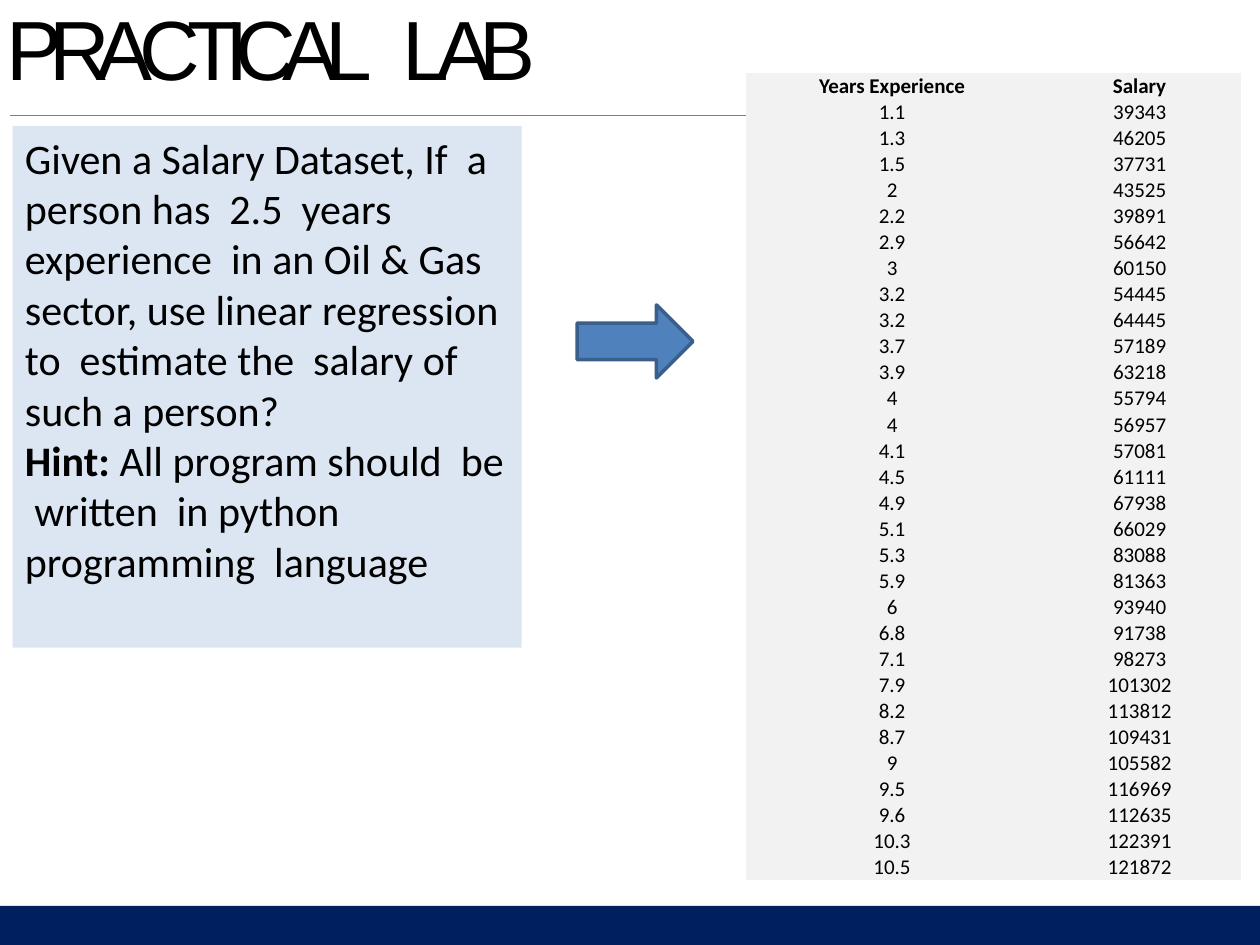
from typing import NamedTuple

from lxml.etree import SubElement
from pptx import Presentation
from pptx.dml.color import RGBColor
from pptx.enum.shapes import MSO_CONNECTOR, MSO_SHAPE
from pptx.enum.text import MSO_ANCHOR, MSO_AUTO_SIZE, PP_ALIGN
from pptx.oxml.ns import qn
from pptx.util import Inches, Pt


class Block(NamedTuple):
    kind: MSO_SHAPE
    left: float
    top: float
    width: float
    height: float
    fill: str
    outline: str = ""


class Record(NamedTuple):
    years: str
    salary: str


FOOTER_BAR = Block(MSO_SHAPE.RECTANGLE, 0, 7.19, 10, 0.31, "001F5F")
TASK_PANEL = Block(MSO_SHAPE.RECTANGLE, 0.1, 1, 4.04, 4.14, "DCE6F2")
DATA_ARROW = Block(MSO_SHAPE.RIGHT_ARROW, 4.58, 2.42, 0.92, 0.58, "4F81BD", "3A5F8C")

HEADER = Record("Years Experience", "Salary")
SALARIES = [Record(*pair.split()) for pair in (
    "1.1 39343", "1.3 46205", "1.5 37731", "2 43525", "2.2 39891",
    "2.9 56642", "3 60150", "3.2 54445", "3.2 64445", "3.7 57189",
    "3.9 63218", "4 55794", "4 56957", "4.1 57081", "4.5 61111",
    "4.9 67938", "5.1 66029", "5.3 83088", "5.9 81363", "6 93940",
    "6.8 91738", "7.1 98273", "7.9 101302", "8.2 113812", "8.7 109431",
    "9 105582", "9.5 116969", "9.6 112635", "10.3 122391", "10.5 121872",
)]
COLUMN_WIDTHS = (2.32, 1.61)
TABLE_HEIGHT = 6.41

QUESTION = (
    "Given a Salary Dataset, If  a person has  2.5  years experience  in an "
    "Oil & Gas sector, use linear regression to  estimate the  salary of  "
    "such a person?"
)
HINT = "All program should  be  written  in python programming  language"


def color(value: str) -> RGBColor:
    return RGBColor.from_string(value)


def add_run(paragraph, text: str, size: float, bold: bool = False,
            font: str = "Calibri"):
    run = paragraph.add_run()
    run.text = text
    run.font.name = font
    run.font.size = Pt(size)
    run.font.bold = bold
    run.font.color.rgb = color("000000")
    return run


def add_block(slide, block: Block):
    shape = slide.shapes.add_shape(
        block.kind, Inches(block.left), Inches(block.top),
        Inches(block.width), Inches(block.height))
    shape.shadow.inherit = False
    shape.fill.solid()
    shape.fill.fore_color.rgb = color(block.fill)
    if block.outline:
        shape.line.color.rgb = color(block.outline)
        shape.line.width = Pt(2)
    else:
        shape.line.fill.background()
    return shape


def add_heading_rule(slide) -> None:
    rule = slide.shapes.add_connector(
        MSO_CONNECTOR.STRAIGHT, Inches(0.08), Inches(0.92), Inches(8.26), Inches(0.92))
    rule.line.color.rgb = color("7E7E7E")
    rule.line.width = Pt(0.48)
    SubElement(rule._element.spPr, qn("a:effectLst"))


def write_title(slide) -> None:
    title = slide.shapes.title
    title.left, title.top = Inches(0.05), Inches(-0.04)
    title.width, title.height = Inches(4.85), Inches(0.82)
    frame = title.text_frame
    frame.auto_size = MSO_AUTO_SIZE.NONE
    frame.vertical_anchor = MSO_ANCHOR.TOP
    frame.margin_left = frame.margin_right = frame.margin_bottom = 0
    frame.margin_top = Inches(0.01)
    heading = frame.paragraphs[0]
    heading.alignment = PP_ALIGN.LEFT
    # Letters are set tight; the word gap is opened up by its own tracking.
    for text, tracking in (("PRACTICAL", -7.5), (" ", 4), ("LAB", -7.5)):
        run = add_run(heading, text, 48, font="Arial")
        run.font._element.set("spc", str(round(tracking * 100)))


def write_task(panel) -> None:
    frame = panel.text_frame
    frame.word_wrap = True
    frame.vertical_anchor = MSO_ANCHOR.TOP
    question, hint = frame.paragraphs[0], frame.add_paragraph()
    question.alignment = hint.alignment = PP_ALIGN.LEFT
    add_run(question, QUESTION, 24)
    add_run(hint, "Hint: ", 24, bold=True)
    add_run(hint, HINT, 24)


def add_salary_table(slide) -> None:
    records = [HEADER, *SALARIES]
    table = slide.shapes.add_table(
        len(records), len(COLUMN_WIDTHS), Inches(5.92), Inches(0.58),
        Inches(sum(COLUMN_WIDTHS)), Inches(TABLE_HEIGHT)).table
    table.horz_banding = False
    table.first_row = False
    for column, width in zip(table.columns, COLUMN_WIDTHS):
        column.width = Inches(width)
    for row, record in zip(table.rows, records):
        row.height = Inches(TABLE_HEIGHT / len(records))
        for cell, text in zip(row.cells, record):
            cell.fill.solid()
            cell.fill.fore_color.rgb = color("F2F2F2")
            cell.vertical_anchor = MSO_ANCHOR.BOTTOM
            cell.margin_left = cell.margin_right = Inches(0.01)
            cell.margin_top = cell.margin_bottom = 0
            for side in ("a:lnL", "a:lnR", "a:lnT", "a:lnB"):
                border = cell._tc.tcPr.makeelement(qn(side), {"w": "0"})
                SubElement(border, qn("a:noFill"))
                cell._tc.tcPr.insert_element_before(border, "a:solidFill")
            paragraph = cell.text_frame.paragraphs[0]
            paragraph.alignment = PP_ALIGN.CENTER
            add_run(paragraph, text, 12, bold=record is HEADER)


def main() -> None:
    deck = Presentation()
    deck.slide_width, deck.slide_height = Inches(10), Inches(7.5)
    slide = deck.slides.add_slide(deck.slide_layouts[5])
    add_block(slide, FOOTER_BAR)
    add_heading_rule(slide)
    write_title(slide)
    add_salary_table(slide)
    write_task(add_block(slide, TASK_PANEL))
    add_block(slide, DATA_ARROW)
    deck.save("out.pptx")


if __name__ == "__main__":
    main()
